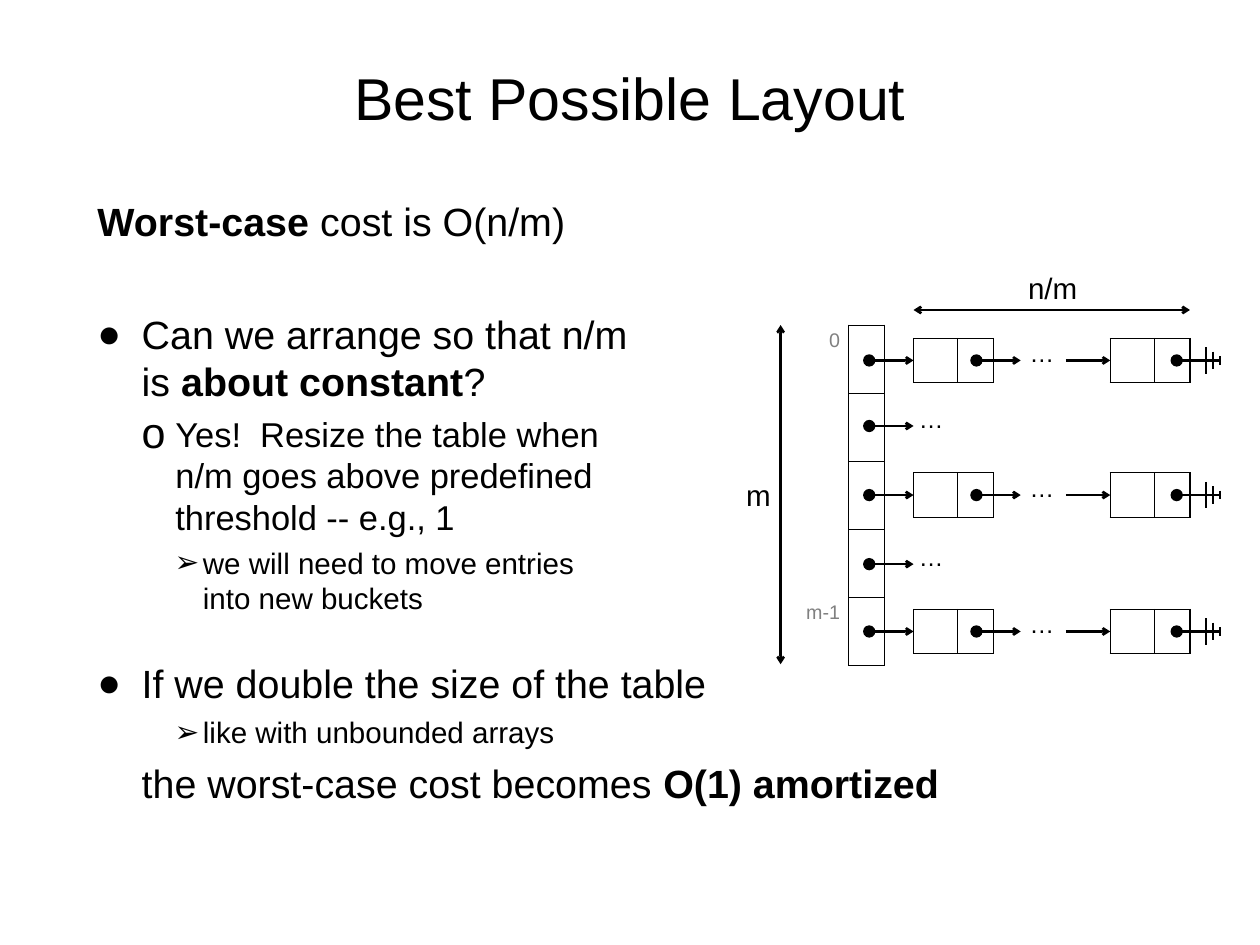
from dataclasses import dataclass

from lxml.etree import SubElement as Sub
from pptx import Presentation
from pptx.dml.color import RGBColor as RGB
from pptx.enum.shapes import MSO_CONNECTOR as Link
from pptx.enum.text import MSO_ANCHOR as Anchor, MSO_AUTO_SIZE as Fit, PP_ALIGN as Align
from pptx.oxml.ns import qn
from pptx.util import Pt

PX = 9144  # EMU per px, 100 px to the inch
FONT = "Arial"
BLACK = RGB(0, 0, 0)
GRAY = RGB(128, 128, 128)
SIDES = "LRTB"


@dataclass
class Item:
    text: str  # parts between ** are bold
    size: int
    left: int = 0
    hang: int = 0
    before: float = 0
    mark: str = ""
    scale: int = 100


@dataclass
class Chain:
    mid: int
    full: bool


ITEMS = [
    Item("**Worst-case** cost is O(n/m)", 32),
    Item("Can we arrange so that n/m\nis **about constant**?", 32, 50, 50, 53, "●"),
    Item("Yes!  Resize the table when\nn/m goes above predefined\nthreshold -- e.g., 1",
         28, 88, 38, 7, "o", 125),
    Item("we will need to move entries\ninto new buckets", 24, 119, 32, 6, "➢"),
    Item("If we double the size of the table", 32, 50, 50, 36, "●"),
    Item("like with unbounded arrays", 24, 119, 32, 6, "➢"),
    Item("the worst-case cost becomes **O(1) amortized**", 32, 50, 0, 8),
]
CHAINS = [Chain(407, True), Chain(481, False), Chain(559, True),
          Chain(637, False), Chain(713, True)]


def write(par, text: str, size: int, color: RGB = BLACK, align=Align.LEFT) -> None:
    par.alignment = align
    for i, part in enumerate(text.split("**")):
        for j, line in enumerate(part.split("\n")):
            if j:
                par.add_line_break()
            if line:
                run = par.add_run()
                run.text = line
                font = run.font
                font.name, font.size, font.bold = FONT, Pt(size), i % 2 == 1
                font.color.rgb = color


def frame(shapes, x: int, y: int, w: int, h: int, pad: int = 6):
    body = shapes.add_textbox(x * PX, y * PX, w * PX, h * PX).text_frame
    body.word_wrap = True
    body.margin_left = body.margin_right = pad * PX
    body.margin_top = body.margin_bottom = pad * PX
    return body


def label(shapes, text: str, x: int, y: int, w: int, h: int, size: int) -> None:
    body = frame(shapes, x, y, w, h, 5)
    body.margin_left = body.margin_right = 10 * PX
    body.word_wrap = False
    body.auto_size = Fit.SHAPE_TO_FIT_TEXT
    write(body.paragraphs[0], text, size, align=Align.CENTER)


def bullet(par, item: Item) -> None:
    props = par._p.get_or_add_pPr()
    props.set("marL", str(item.left * PX))
    props.set("indent", str(-item.hang * PX))
    if item.mark:
        Sub(props, qn("a:buSzPct"), val=str(item.scale * 1000))
        Sub(props, qn("a:buFont"), typeface=FONT)
        Sub(props, qn("a:buChar"), char=item.mark)
    else:
        Sub(props, qn("a:buNone"))


def stroke(shapes, x1: int, y1: int, x2: int, y2: int, head: str = "", tail: str = "") -> None:
    link = shapes.add_connector(Link.STRAIGHT, x1 * PX, y1 * PX, x2 * PX, y2 * PX)
    link.line.color.rgb = BLACK
    link.line.width = Pt(2)
    props = link._element.spPr
    for tag, kind in (("a:headEnd", head), ("a:tailEnd", tail)):
        if kind:
            size = "lg" if kind == "oval" else "med"
            Sub(props.find(qn("a:ln")), qn(tag), type=kind, w=size, len=size)
    Sub(props, qn("a:effectLst"))


def edge(cell, shown: str) -> None:
    props = cell._tc.get_or_add_tcPr()
    for side in SIDES:
        line = Sub(props, qn(f"a:ln{side}"), w=str(Pt(1)))
        if side in shown:
            fill = Sub(line, qn("a:solidFill"))
            Sub(fill, qn("a:srgbClr"), val=str(BLACK))
        else:
            Sub(line, qn("a:noFill"))
    cell.fill.background()


def grid(shapes, x: int, y: int, cols: list[int], rows: list[int], first: str = SIDES):
    table = shapes.add_table(len(rows), len(cols), x * PX, y * PX,
                             sum(cols) * PX, sum(rows) * PX).table
    table.first_row = table.horz_banding = False
    for col, wide in zip(table.columns, cols):
        col.width = wide * PX
    for row, high in zip(table.rows, rows):
        row.height = high * PX
        for i, cell in enumerate(row.cells):
            edge(cell, SIDES if i else first)
    return table


def ground(shapes, mid: int) -> None:
    group = shapes.add_group_shape().shapes
    stroke(group, 1328, mid, 1378, mid, "oval")
    for i in range(3):
        x, half = 1361 + 8 * i, 15 - 5 * i
        stroke(group, x, mid - half, x, mid + half)


def chain(shapes, row: Chain) -> None:
    mid = row.mid
    if row.full:
        for x in (1031, 1253):
            grid(shapes, x, mid - 25, [50, 40], [50])
        stroke(shapes, 1102, mid, 1152, mid, "oval", "arrow")
        stroke(shapes, 1203, mid, 1253, mid, tail="arrow")
        ground(shapes, mid)
    stroke(shapes, 981, mid, 1031, mid, "oval", "arrow")
    label(shapes, "…", 1152 if row.full else 1027, mid - 30, 48, 44, 20)


def main() -> None:
    deck = Presentation()
    deck.slide_width, deck.slide_height = 1422 * PX, 1067 * PX
    shapes = deck.slides.add_slide(deck.slide_layouts[6]).shapes

    # Title
    title = frame(shapes, 104, 28, 1214, 164)
    title.vertical_anchor = Anchor.MIDDLE
    write(title.paragraphs[0], "Best Possible Layout", 48, align=Align.CENTER)

    # Body text
    body = frame(shapes, 104, 217, 1214, 754)
    for i, item in enumerate(ITEMS):
        par = body.add_paragraph() if i else body.paragraphs[0]
        bullet(par, item)
        if item.before:
            par.space_before = Pt(item.before)
        write(par, item.text, item.size)

    # Bucket array with its indices
    array = grid(shapes, 898, 367, [60, 40], [77] * 5, "R")
    for i, text in ((0, "0"), (4, "m-1")):
        write(array.cell(i, 0).text_frame.paragraphs[0], text, 16, GRAY, Align.RIGHT)

    # Chains
    for row in CHAINS:
        chain(shapes, row)

    # Dimensions
    stroke(shapes, 881, 367, 881, 750, "arrow", "arrow")
    label(shapes, "m", 832, 534, 48, 50, 24)
    stroke(shapes, 1343, 350, 1031, 350, "arrow", "arrow")
    label(shapes, "n/m", 1150, 300, 76, 50, 24)

    deck.save("out.pptx")


if __name__ == "__main__":
    main()
